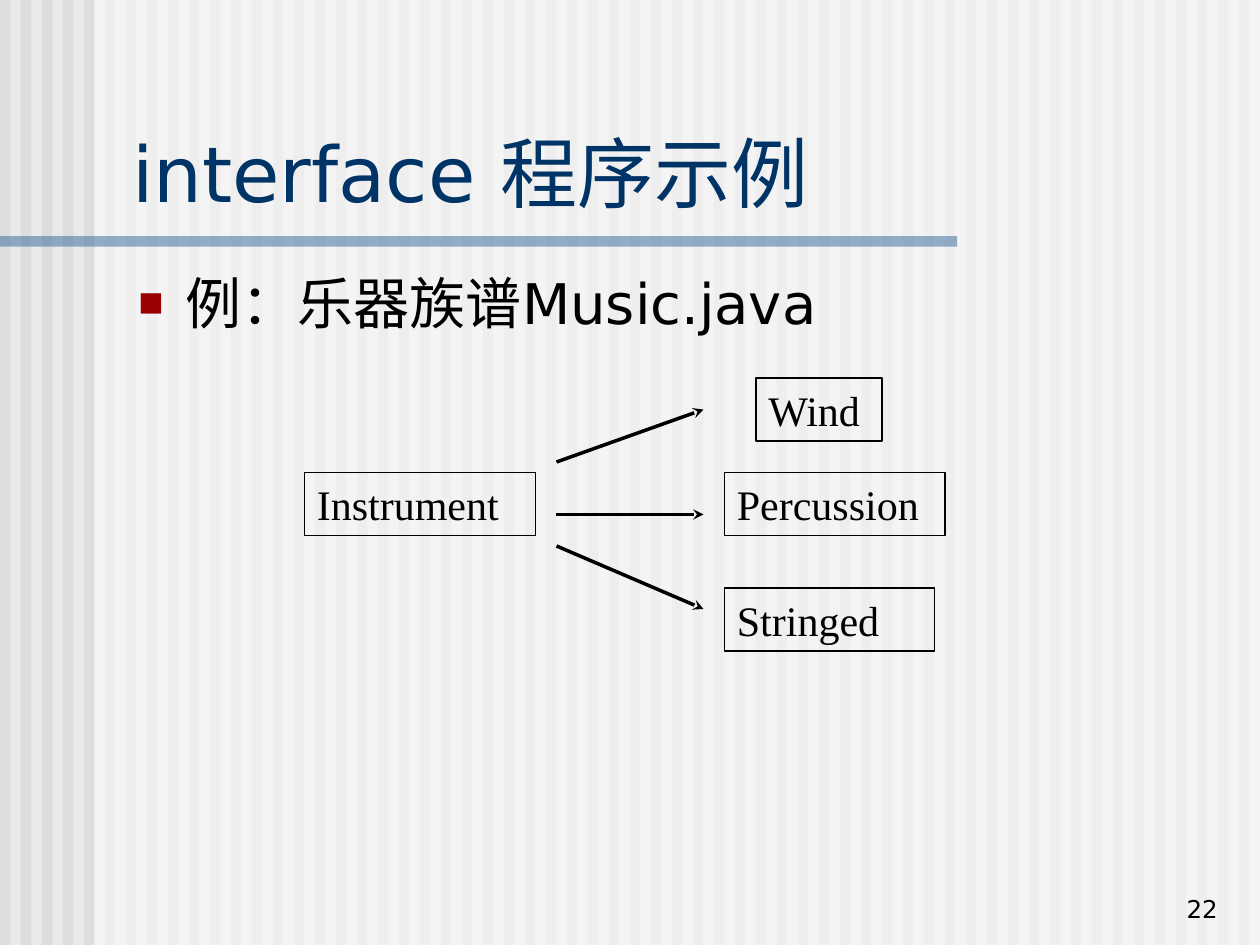
from dataclasses import dataclass

from lxml.etree import SubElement
from pptx import Presentation
from pptx.dml.color import RGBColor
from pptx.enum.shapes import MSO_CONNECTOR, MSO_SHAPE
from pptx.enum.text import MSO_ANCHOR, PP_ALIGN
from pptx.oxml.ns import qn
from pptx.util import Pt


@dataclass(frozen=True)
class Theme:
    back: str = "EAEAEA"
    stripe: str = "DDDDDD"
    veil: str = "FFFFFF"
    rule: str = "336699"
    title: str = "003366"
    ink: str = "000000"
    bullet: str = "9A0000"
    sans: str = "DejaVu Sans"
    serif: str = "Times New Roman"
    bullet_font: str = "Arial"
    title_size: float = 44
    body_size: float = 32
    node_size: float = 24
    number_size: float = 14


@dataclass(frozen=True)
class Box:
    x: float
    y: float
    w: float
    h: float


@dataclass(frozen=True)
class Node:
    name: str
    box: Box


@dataclass(frozen=True)
class Arrow:
    start_y: float
    end_y: float


THEME = Theme()
SLIDE = Box(0, 0, 720, 540)
STRIPE_PITCH = 12
STRIPE_WIDTH = 6
NODE_HEIGHT = 36
CHILD_X = 414
ARROW_X = (318, 402)

NODES = [
    Node("Instrument", Box(174, 270, 132, NODE_HEIGHT)),
    Node("Wind", Box(432, 216, 72, NODE_HEIGHT)),
    Node("Percussion", Box(CHILD_X, 270, 126, NODE_HEIGHT)),
    Node("Stringed", Box(CHILD_X, 336, 120, NODE_HEIGHT)),
]
ARROWS = [Arrow(264, 234), Arrow(294, 294), Arrow(312, 348)]


def rgb(color: str) -> RGBColor:
    return RGBColor.from_string(color)


def place(box: Box) -> tuple:
    return Pt(box.x), Pt(box.y), Pt(box.w), Pt(box.h)


def add_rect(s, box: Box):
    sp = s.shapes.add_shape(MSO_SHAPE.RECTANGLE, *place(box))
    sp.shadow.inherit = False
    return sp


def add_band(s, box: Box, color: str, alpha: int = 100) -> None:
    sp = add_rect(s, box)
    sp.fill.solid()
    sp.fill.fore_color.rgb = rgb(color)
    sp.line.fill.background()
    if alpha < 100:
        clr = sp.fill._xPr.find(qn("a:solidFill"))[0]
        SubElement(clr, qn("a:alpha"), val=str(alpha * 1000))


def write(sp, text: str, size: float, font: str, color: str,
          anchor=MSO_ANCHOR.TOP, align=PP_ALIGN.LEFT):
    tf = sp.text_frame
    tf.word_wrap = True
    tf.vertical_anchor = anchor
    p = tf.paragraphs[0]
    p.alignment = align
    r = p.add_run()
    r.text = text
    r.font.size = Pt(size)
    r.font.name = font
    r.font.color.rgb = rgb(color)
    return p


def add_text(s, box: Box, *args, **kwargs):
    return write(s.shapes.add_textbox(*place(box)), *args, **kwargs)


def add_bullet(p) -> None:
    pPr = p._p.get_or_add_pPr()
    pPr.set("marL", str(Pt(27)))
    pPr.set("indent", str(Pt(-27)))
    clr = SubElement(pPr, qn("a:buClr"))
    SubElement(clr, qn("a:srgbClr"), val=THEME.bullet)
    SubElement(pPr, qn("a:buSzPct"), val="75000")
    SubElement(pPr, qn("a:buFont"), typeface=THEME.bullet_font)
    SubElement(pPr, qn("a:buChar"), char="■")


def add_node(s, node: Node) -> None:
    sp = add_rect(s, node.box)
    sp.fill.background()
    sp.line.color.rgb = rgb(THEME.ink)
    sp.line.width = Pt(1)
    write(sp, node.name, THEME.node_size, THEME.serif, THEME.ink)


def add_arrow(s, arrow: Arrow) -> None:
    x1, x2 = ARROW_X
    cxn = s.shapes.add_connector(MSO_CONNECTOR.STRAIGHT, Pt(x1), Pt(arrow.start_y),
                                 Pt(x2), Pt(arrow.end_y))
    cxn.line.color.rgb = rgb(THEME.ink)
    cxn.line.width = Pt(2)
    SubElement(cxn.line._get_or_add_ln(), qn("a:tailEnd"), type="stealth")
    SubElement(cxn._element.spPr, qn("a:effectLst"))


def add_backdrop(s) -> None:
    s.background.fill.solid()
    s.background.fill.fore_color.rgb = rgb(THEME.back)
    for x in range(0, SLIDE.w, STRIPE_PITCH):
        add_band(s, Box(x, 0, STRIPE_WIDTH, SLIDE.h), THEME.stripe)
    add_band(s, Box(54, 0, SLIDE.w - 54, SLIDE.h), THEME.veil, 50)
    add_band(s, Box(0, 135, 547, 6), THEME.rule, 50)


def main() -> None:
    prs = Presentation()
    prs.slide_width, prs.slide_height = Pt(SLIDE.w), Pt(SLIDE.h)
    s = prs.slides.add_slide(prs.slide_layouts[6])
    add_backdrop(s)
    add_text(s, Box(68.5, 15, 643, 113), "interface 程序示例", THEME.title_size,
             THEME.sans, THEME.title, anchor=MSO_ANCHOR.BOTTOM)
    add_bullet(add_text(s, Box(72, 150, 639, 330), "例：乐器族谱Music.java",
                        THEME.body_size, THEME.sans, THEME.ink))
    for node in NODES:
        add_node(s, node)
    for arrow in ARROWS:
        add_arrow(s, arrow)
    add_text(s, Box(553, 495, 150, 36), "22", THEME.number_size, THEME.sans,
             THEME.ink, anchor=MSO_ANCHOR.BOTTOM, align=PP_ALIGN.RIGHT)
    prs.save("out.pptx")


if __name__ == "__main__":
    main()
